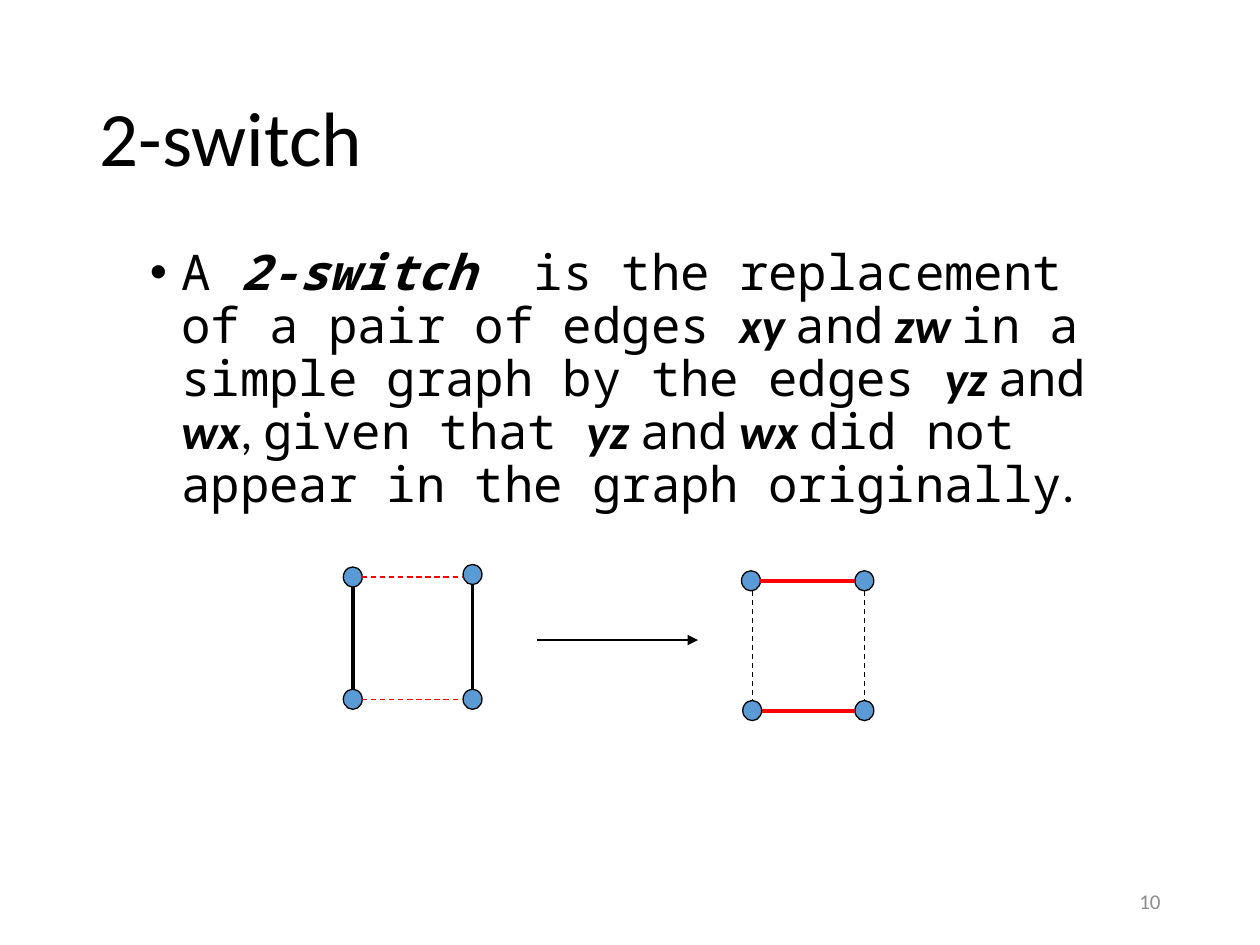
from dataclasses import dataclass

from lxml.etree import SubElement
from pptx import Presentation
from pptx.dml.color import RGBColor
from pptx.enum.dml import MSO_LINE_DASH_STYLE as Dash
from pptx.enum.shapes import MSO_CONNECTOR as Connector, MSO_SHAPE as Shape
from pptx.enum.text import MSO_ANCHOR as Anchor, MSO_AUTO_SIZE as AutoSize, PP_ALIGN as Align
from pptx.oxml.ns import qn
from pptx.util import Inches, Pt


@dataclass(frozen=True)
class Theme:
    black: RGBColor = RGBColor(0, 0, 0)
    red: RGBColor = RGBColor(255, 0, 0)
    blue: RGBColor = RGBColor(0x5B, 0x9B, 0xD5)
    gray: RGBColor = RGBColor(0x8C, 0x8C, 0x8C)
    sans: str = "Calibri"
    mono: str = "Noto Sans Mono"
    title: int = 44
    body: int = 28
    number: int = 12
    thin: float = 0.75
    thick: float = 2.25


THEME = Theme()
NODE_WIDTH, NODE_HEIGHT = 0.15, 0.16

# Definition as (text, font, emphasis)
DEFINITION = [
    ("A ", THEME.mono, False),
    ("2-switch", THEME.mono, True),
    ("  is the replacement of a pair of edges ", THEME.mono, False),
    ("xy ", THEME.sans, True),
    ("and", THEME.mono, False),
    (" zw ", THEME.sans, True),
    ("in a simple graph by the edges ", THEME.mono, False),
    ("yz ", THEME.sans, True),
    ("and", THEME.mono, False),
    (" wx", THEME.sans, True),
    (", ", THEME.sans, False),
    ("given that ", THEME.mono, False),
    ("yz ", THEME.sans, True),
    ("and", THEME.mono, False),
    (" wx ", THEME.sans, True),
    ("did not appear in the graph originally", THEME.mono, False),
    (".", THEME.sans, False),
]

# Node centres: top left, top right, bottom left, bottom right
BEFORE = [(2.8, 4.58), (3.75, 4.56), (2.8, 5.55), (3.75, 5.55)]
AFTER = [(5.96, 4.61), (6.86, 4.61), (5.97, 5.64), (6.86, 5.64)]


def set_values(target, values):
    for name, value in values.items():
        setattr(target, name, value)


def place(shape, left, top, width, height):
    box = {"left": left, "top": top, "width": width, "height": height}
    set_values(shape, {name: Inches(value) for name, value in box.items()})


def prepare_frame(shape, anchor):
    frame = shape.text_frame
    set_values(frame, {"word_wrap": True, "auto_size": AutoSize.NONE,
                       "vertical_anchor": anchor})
    return frame.paragraphs[0]


def add_run(paragraph, text, size, font=THEME.sans, color=THEME.black, emphasis=False):
    run = paragraph.add_run()
    run.text = text
    set_values(run.font, {"name": font, "size": Pt(size),
                          "bold": emphasis, "italic": emphasis})
    run.font.color.rgb = color


def add_title(slide):
    title = slide.shapes.title
    place(title, 0.69, 0.4, 8.62, 1.45)
    paragraph = prepare_frame(title, Anchor.MIDDLE)
    set_values(paragraph, {"alignment": Align.LEFT, "line_spacing": 0.9})
    add_run(paragraph, "2-switch", THEME.title)


def add_definition(slide):
    body = slide.placeholders[1]
    place(body, 1.09, 1.92, 7.82, 1.83)
    paragraph = prepare_frame(body, Anchor.TOP)
    set_values(paragraph, {"line_spacing": 0.9, "space_before": Pt(0)})
    properties = paragraph._p.get_or_add_pPr()
    properties.set("marL", str(Inches(0.25)))
    properties.set("indent", str(Inches(-0.25)))
    SubElement(properties, qn("a:buFont")).set("typeface", "Arial")
    SubElement(properties, qn("a:buChar")).set("char", "•")
    for text, font, emphasis in DEFINITION:
        add_run(paragraph, text, THEME.body, font, emphasis=emphasis)


def add_node(slide, x, y):
    node = slide.shapes.add_shape(
        Shape.OVAL, Inches(x - NODE_WIDTH / 2), Inches(y - NODE_HEIGHT / 2),
        Inches(NODE_WIDTH), Inches(NODE_HEIGHT))
    node.shadow.inherit = False
    node.fill.solid()
    node.fill.fore_color.rgb = THEME.blue
    node.line.color.rgb = THEME.black
    node.line.width = Pt(THEME.thin)


def add_line(slide, start, end, color, dashed=False, width=THEME.thin):
    line = slide.shapes.add_connector(
        Connector.STRAIGHT, *(Inches(value) for value in (*start, *end)))
    line.line.color.rgb = color
    line.line.width = Pt(width)
    if dashed:
        line.line.dash_style = Dash.DASH
    SubElement(line._element.spPr, qn("a:effectLst"))
    return line


def add_graph(slide, nodes, rows_solid):
    """Draw four nodes with red rows and black columns; one pair is solid."""
    for x, y in nodes:
        add_node(slide, x, y)
    top_left, top_right, bottom_left, bottom_right = nodes
    rows = [(top_left, top_right), (bottom_left, bottom_right)]
    columns = [(top_left, bottom_left), (top_right, bottom_right)]
    solid = {"width": THEME.thick}
    dashed = {"dashed": True}
    # Edges run from rim to rim of their nodes
    for (left, y), (right, _) in rows:
        add_line(slide, (left + NODE_WIDTH / 2, y), (right - NODE_WIDTH / 2, y),
                 THEME.red, **(solid if rows_solid else dashed))
    for (_, top), (x, bottom) in columns:
        add_line(slide, (x, top + NODE_HEIGHT / 2), (x, bottom - NODE_HEIGHT / 2),
                 THEME.black, **(dashed if rows_solid else solid))


def add_arrow(slide):
    arrow = add_line(slide, (4.26, 5.08), (5.54, 5.08), THEME.black)
    SubElement(arrow.line._get_or_add_ln(), qn("a:tailEnd")).set("type", "triangle")


def add_slide_number(slide):
    box = slide.shapes.add_textbox(Inches(7.06), Inches(6.95), Inches(2.25), Inches(0.4))
    paragraph = prepare_frame(box, Anchor.MIDDLE)
    paragraph.alignment = Align.RIGHT
    add_run(paragraph, "10", THEME.number, color=THEME.gray)


def main():
    presentation = Presentation()
    set_values(presentation, {"slide_width": Inches(10), "slide_height": Inches(7.5)})
    slide = presentation.slides.add_slide(presentation.slide_layouts[1])

    # Text
    add_title(slide)
    add_definition(slide)

    # Graph before and after the switch
    add_graph(slide, BEFORE, rows_solid=False)
    add_graph(slide, AFTER, rows_solid=True)
    add_arrow(slide)

    # Footer
    add_slide_number(slide)
    presentation.save("out.pptx")


if __name__ == "__main__":
    main()
